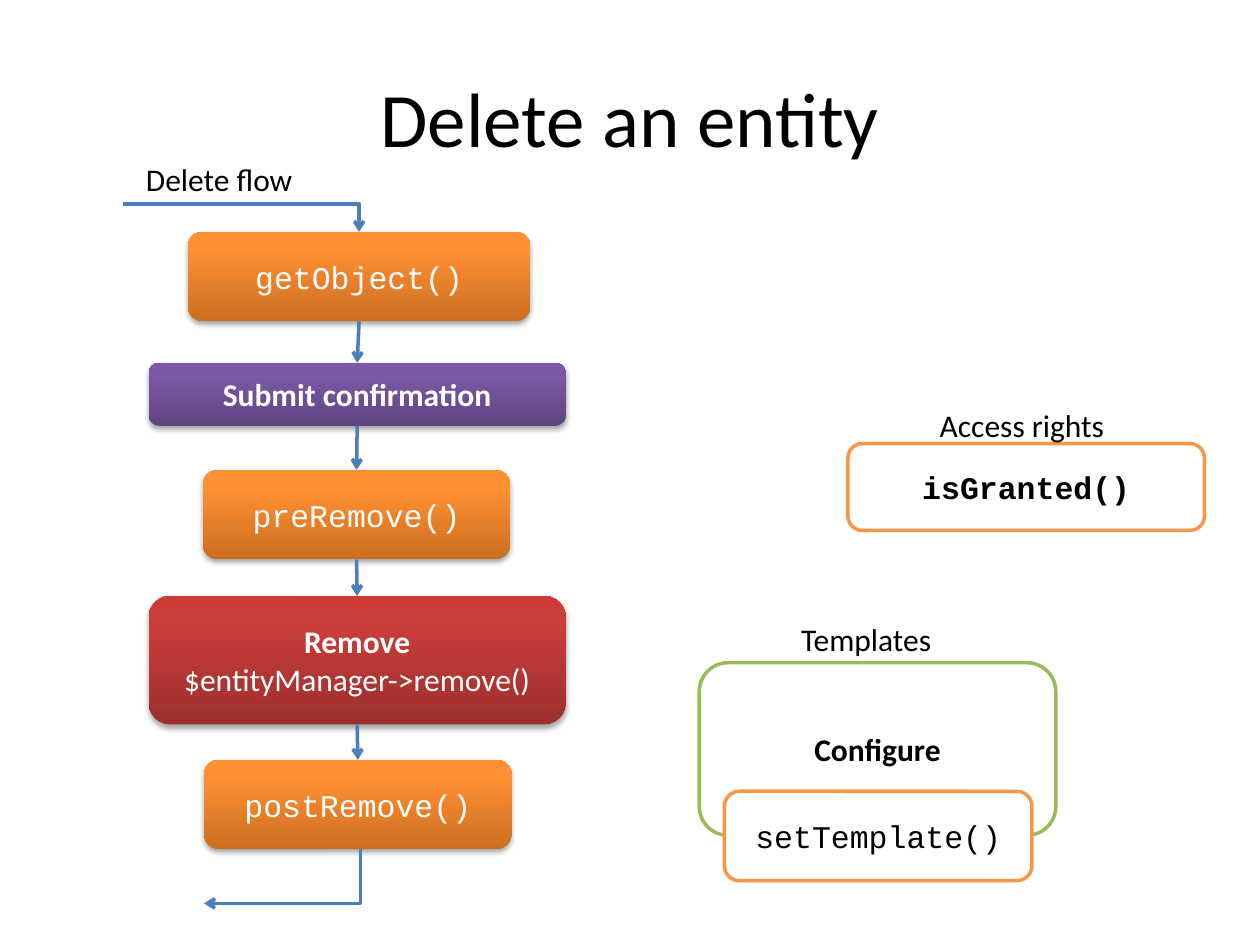
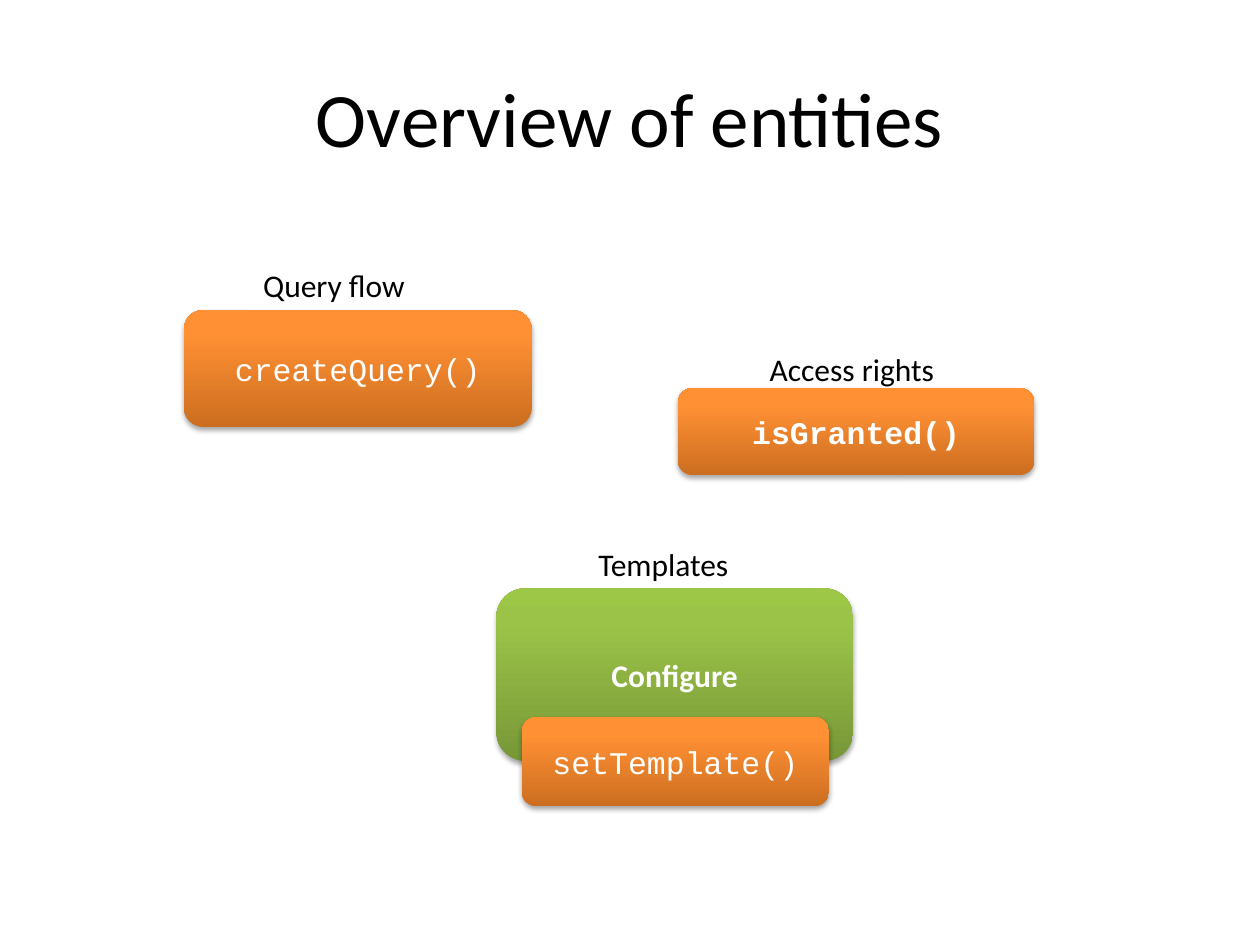
from lxml import etree
from pptx import Presentation
from pptx.dml.color import RGBColor
from pptx.enum.shapes import MSO_CONNECTOR, MSO_SHAPE
from pptx.enum.text import MSO_ANCHOR, PP_ALIGN
from pptx.oxml.ns import qn
from pptx.util import Inches, Pt

STRAIGHT, ELBOW = MSO_CONNECTOR.STRAIGHT, MSO_CONNECTOR.ELBOW
ROUNDED = MSO_SHAPE.ROUNDED_RECTANGLE
LEFT, CENTER = PP_ALIGN.LEFT, PP_ALIGN.CENTER
TOP, MIDDLE = MSO_ANCHOR.TOP, MSO_ANCHOR.MIDDLE
BOTTOM_SIDE, TOP_SIDE = 2, 0

COLORS = {"text": "000000", "paper": "FFFFFF", "arrow": "4B7EBC", "shadow": "000000",
          "orange": "F79646", "green": "9BBB59"}
# Gradient stops at 0, 80 and 100 percent, from bottom to top
GRADIENTS = {"orange": ("CC6E20", "FF9034", "FF9136"),
             "red": ("9C2F2D", "CB3E3A", "CE3B37"),
             "purple": ("5F4480", "7B58A6", "7C57A8"),
             "green": ("779737", "9BC348", "9DC746")}
STOPS = (0, 80000, 100000)
BODY, CODE = "Calibri", "Courier New"
UNIT = 0.1  # grid step in inches: 100 columns by 75 rows
COLS, ROWS = 100, 75


def grid(*steps):
    return [Inches(step * UNIT) for step in steps]


def add_xml(parent, tag, **attributes):
    child = etree.SubElement(parent, qn(tag))
    for name, value in attributes.items():
        child.set(name, str(value))
    return child


def write(tf, text, font=BODY, size=18, color="text", bold=False, align=CENTER,
          anchor=MIDDLE, wrap=True):
    """Write one paragraph per line; only the first line takes the bold setting."""
    tf.word_wrap = wrap
    tf.vertical_anchor = anchor
    for i, line in enumerate(text.split("\n")):
        p = tf.add_paragraph() if i else tf.paragraphs[0]
        p.alignment = align
        r = p.add_run()
        r.text = line
        r.font.name, r.font.size = font, Pt(size)
        r.font.bold = bold and i == 0
        r.font.color.rgb = RGBColor.from_string(COLORS[color])


class Deck:
    def __init__(self):
        self.prs = Presentation()
        self.prs.slide_width, self.prs.slide_height = grid(COLS, ROWS)
        self.s = None

    def slide(self, title):
        self.s = self.prs.slides.add_slide(self.prs.slide_layouts[6])
        tb = self.s.shapes.add_textbox(*grid(5, 3, 90, 12.5))
        write(tb.text_frame, title, size=44)

    def label(self, text, x, y, w):
        tb = self.s.shapes.add_textbox(*grid(x, y, w, 4))
        write(tb.text_frame, text, align=LEFT, anchor=TOP, wrap=False)

    def box(self, text, x, y, w, h, hue="orange", outlined=False, **style):
        sp = self.s.shapes.add_shape(ROUNDED, *grid(x, y, w, h))
        sp.shadow.inherit = False
        if outlined:
            sp.fill.solid()
            sp.fill.fore_color.rgb = RGBColor.from_string(COLORS["paper"])
            sp.line.color.rgb = RGBColor.from_string(COLORS[hue])
            sp.line.width = Pt(2)
        else:
            self.shade(sp, hue)
        write(sp.text_frame, text, color="text" if outlined else "paper", **style)
        return sp

    def shade(self, sp, hue):
        sp.line.fill.background()
        sp.fill.gradient()
        sp.fill.gradient_angle = 90
        stops = sp.element.spPr.find(".//" + qn("a:gsLst"))
        for old in list(stops):
            stops.remove(old)
        for pos, color in zip(STOPS, GRADIENTS[hue]):
            add_xml(add_xml(stops, "a:gs", pos=pos), "a:srgbClr", val=color)
        effects = sp.element.spPr.find(qn("a:effectLst"))
        shadow = add_xml(effects, "a:outerShdw", blurRad=Pt(3.1), dist=Pt(1.8),
                         dir=5400000, rotWithShape=0)
        tint = add_xml(shadow, "a:srgbClr", val=COLORS["shadow"])
        add_xml(tint, "a:alpha", val=35000)

    def arrow(self, start, end, kind=STRAIGHT):
        c = self.s.shapes.add_connector(kind, *grid(*start, *end))
        c.line.color.rgb = RGBColor.from_string(COLORS["arrow"])
        c.line.width = Pt(2)
        add_xml(c.line._get_or_add_ln(), "a:tailEnd", type="arrow")
        add_xml(c.element.spPr, "a:effectLst")
        return c

    def join(self, upper, lower):
        c = self.arrow((0, 0), (1, 1))
        c.begin_connect(upper, BOTTOM_SIDE)
        c.end_connect(lower, TOP_SIDE)

    def elbow(self, start, end, down_first=False):
        c = self.arrow(start, end, ELBOW)
        geom = c.element.spPr.find(qn("a:prstGeom"))
        if down_first:
            add_xml(geom.find(qn("a:avLst")), "a:gd", name="adj1", fmla="val 0")
        else:
            geom.set("prst", "bentConnector2")

    # Groups found on both slides
    def access_rights(self, x, y, outlined=False):
        self.box("isGranted()", x, y, 28.3, 6.9, outlined=outlined, font=CODE, bold=True)
        self.label("Access rights", x + 6.3, y - 3.5, 15.2)

    def templates(self, x, y, outlined=False):
        self.box("Configure", x, y, 28.3, 13.7, "green", outlined, bold=True)
        self.box("setTemplate()", x + 2, y + 10.2, 24.4, 7.1, outlined=outlined, font=CODE)
        self.label("Templates", x + 7.1, y - 3.9, 12.5)


def main():
    deck = Deck()

    # Delete flow, from top to bottom
    deck.slide("Delete an entity")
    deck.label("Delete flow", 10.6, 12.2, 13.8)
    steps = [
        deck.box("getObject()", 14.9, 18.4, 27.2, 7.1, font=CODE),
        deck.box("Submit confirmation", 11.8, 28.8, 33.1, 5, "purple", bold=True),
        deck.box("preRemove()", 16.1, 37.3, 24.4, 7.1, font=CODE),
        deck.box("Remove\n$entityManager->remove()", 11.8, 47.3, 33.1, 10.2, "red", bold=True),
        deck.box("postRemove()", 16.2, 60.3, 24.4, 7.1, font=CODE),
    ]
    for upper, lower in zip(steps, steps[1:]):
        deck.join(upper, lower)
    deck.elbow((9.8, 16.2), (28.5, 18.4))
    deck.elbow((28.6, 67.4), (16.2, 71.7), down_first=True)
    deck.templates(55.5, 52.6, outlined=True)
    deck.access_rights(67.3, 35.2, outlined=True)

    # Overview
    deck.slide("Overview of entities")
    deck.box("createQuery()", 14.6, 24.6, 27.6, 9.3, font=CODE)
    deck.label("Query flow", 19.9, 20.6, 13.4)
    deck.templates(39.4, 46.7)
    deck.access_rights(53.8, 30.8)

    deck.prs.save("out.pptx")


if __name__ == "__main__":
    main()
